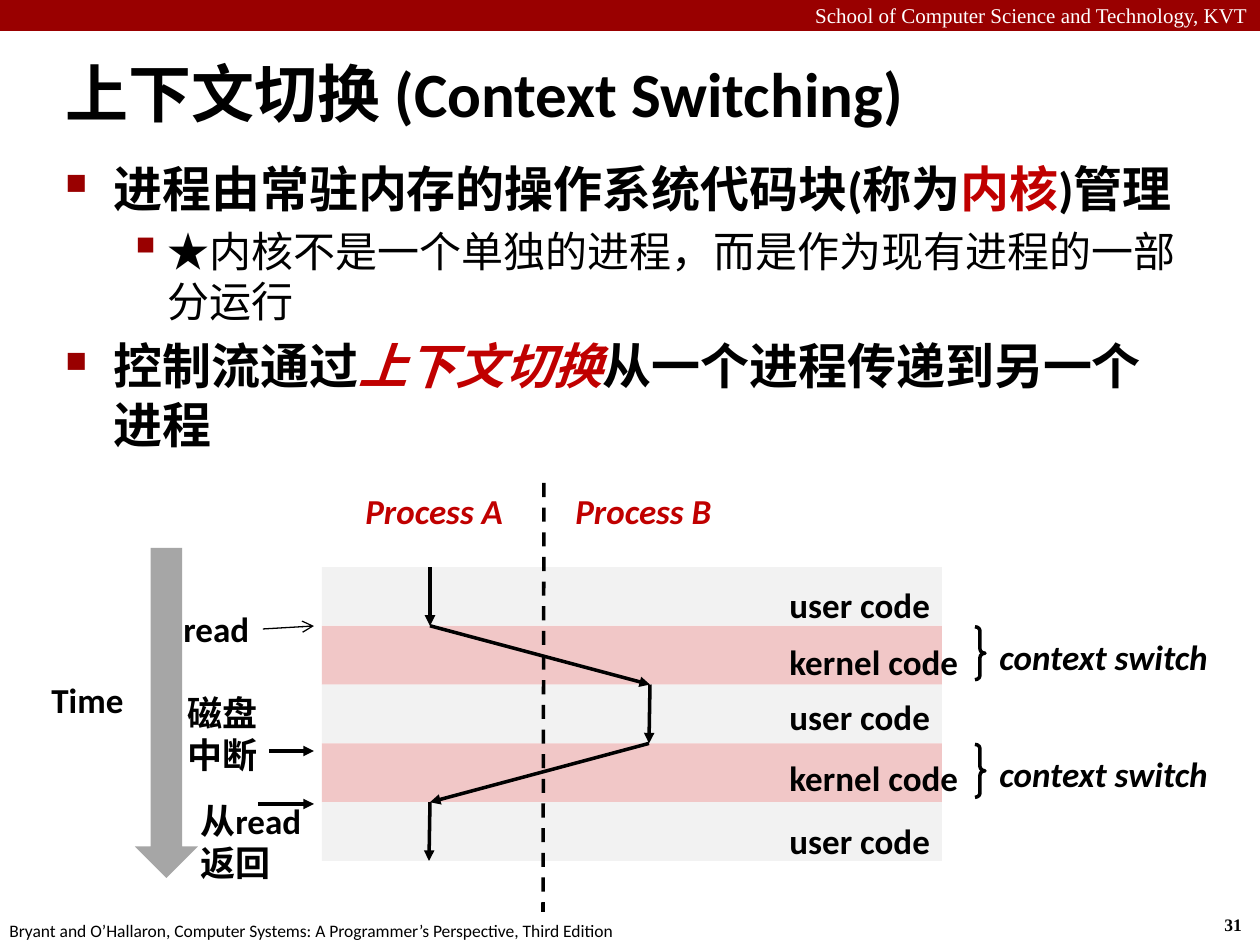
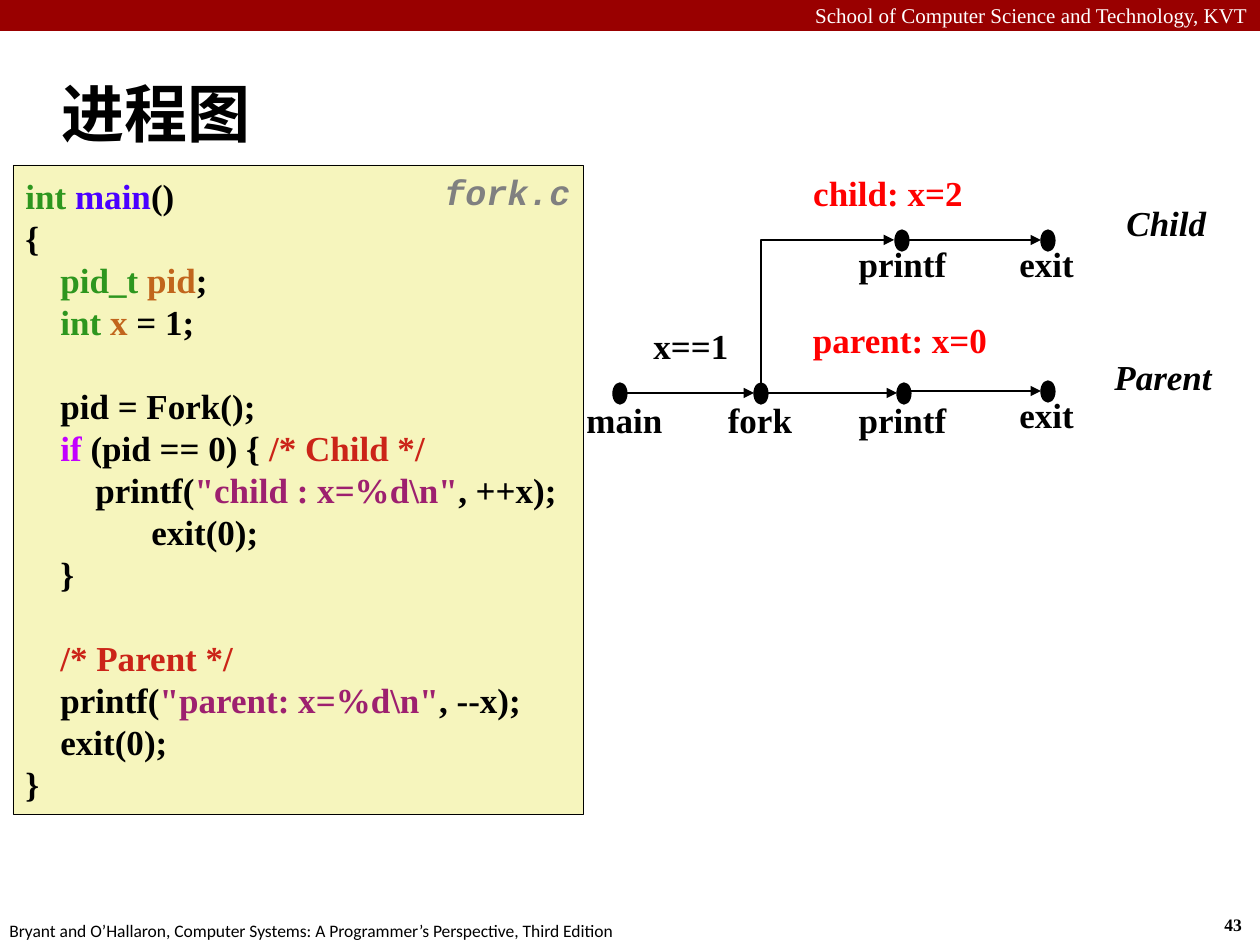
from dataclasses import dataclass
from itertools import pairwise
from lxml.etree import SubElement
from pptx import Presentation
from pptx.dml.color import RGBColor as Rgb
from pptx.enum.shapes import MSO_CONNECTOR as Link, MSO_SHAPE as Preset
from pptx.enum.text import MSO_ANCHOR as Anchor, PP_ALIGN as Align
from pptx.oxml.ns import qn
from pptx.util import Pt

SCALE = 914400 / 126
WIDTH, HEIGHT = 1260, 945


@dataclass(frozen=True)
class Theme:
    black: str = "000000"
    white: str = "FFFFFF"
    crimson: str = "990000"
    accent: str = "C00000"
    red: str = "FF0000"
    user: str = "F2F2F2"
    kernel: str = "F1C7C7"
    timeline: str = "A6A6A6"
    paper: str = "F6F5BD"
    filename: str = "808080"
    type_name: str = "2D961E"
    function: str = "4A00FF"
    variable: str = "C1651C"
    keyword: str = "C200FF"
    comment: str = "CB2418"
    string: str = "9D206F"
    sans: str = "Calibri"
    serif: str = "Times New Roman"
    mono: str = "Courier New"
    title: int = 36
    point: int = 28
    subpoint: int = 24
    label: int = 20
    header: int = 12
    footer: int = 10


T = Theme()


@dataclass
class Para:
    runs: list
    level: int = 0
    left: int = 0
    hang: int = 0
    before: float = 0
    bullet: tuple = ()


def emu(pixels):
    return round(pixels * SCALE)


def paint(shape, fill=None, line=None, weight=0.75):
    shape.shadow.inherit = False
    if fill:
        shape.fill.solid()
        shape.fill.fore_color.rgb = Rgb.from_string(fill)
    else:
        shape.fill.background()
    if line:
        shape.line.color.rgb = Rgb.from_string(line)
        shape.line.width = Pt(weight)
    else:
        shape.line.fill.background()


def block(slide, box, preset=Preset.RECTANGLE, **look):
    shape = slide.shapes.add_shape(preset, *map(emu, box))
    paint(shape, **look)
    return shape


def add_bullet(props, mark, percent):
    color = SubElement(props, qn("a:buClr"))
    SubElement(color, qn("a:srgbClr"), val=T.crimson)
    SubElement(props, qn("a:buSzPct"), val=str(percent * 1000))
    SubElement(props, qn("a:buChar"), char=mark)


def text(slide, box, content, holder=None, wrap=False, anchor=Anchor.TOP,
         align=Align.LEFT, spacing=None, **font):
    holder = holder or slide.shapes.add_textbox(*map(emu, box))
    frame = holder.text_frame
    frame.word_wrap = wrap
    frame.vertical_anchor = anchor
    paras = [Para([content])] if isinstance(content, str) else content
    for index, para in enumerate(paras):
        line = frame.add_paragraph() if index else frame.paragraphs[0]
        line.alignment = align
        line.level = para.level
        line.space_before = Pt(para.before)
        if spacing:
            line.line_spacing = spacing
        props = line._p.get_or_add_pPr()
        props.set("marL", str(emu(para.left)))
        props.set("indent", str(-emu(para.hang)))
        if para.bullet:
            add_bullet(props, *para.bullet)
        for part in para.runs:
            words, change = (part, {}) if isinstance(part, str) else part
            look = dict(size=T.label, face=T.sans, color=T.black, bold=True, italic=False)
            look |= font | change
            run = line.add_run()
            run.text = words
            run.font.size = Pt(look["size"])
            run.font.name = look["face"]
            run.font.bold = look["bold"]
            run.font.italic = look["italic"]
            run.font.color.rgb = Rgb.from_string(look["color"])


def stroke(slide, start, end, weight=2, tip="triangle", dash=False, kind=Link.STRAIGHT):
    link = slide.shapes.add_connector(kind, *map(emu, (*start, *end)))
    link.line.color.rgb = Rgb.from_string(T.black)
    link.line.width = Pt(weight)
    outline = link.line._get_or_add_ln()
    if dash:
        SubElement(outline, qn("a:prstDash"), val="dash")
    if tip:
        SubElement(outline, qn("a:tailEnd"), type=tip)
    SubElement(link._element.spPr, qn("a:effectLst"))
    return link


def up_then_right(slide, start, end, weight):
    mid_x, mid_y = (start[0] + end[0]) / 2, (start[1] + end[1]) / 2
    half_w, half_h = (start[1] - end[1]) / 2, (end[0] - start[0]) / 2
    link = stroke(slide, (mid_x + half_w, mid_y + half_h),
                  (mid_x - half_w, mid_y - half_h), weight, kind=Link.ELBOW)
    props = link._element.spPr
    props.find(qn("a:xfrm")).set("rot", "5400000")
    props.find(qn("a:prstGeom")).set("prst", "bentConnector2")


def frame_slide(deck, number, title, title_box):
    slide = deck.slides.add_slide(deck.slide_layouts[6])
    block(slide, (0, 0, WIDTH, 31), fill=T.crimson)
    text(slide, (0, -4, WIDTH, 38), "School of Computer Science and Technology, KVT",
         wrap=True, align=Align.RIGHT, size=T.header, face=T.serif, color=T.white, bold=False)
    text(slide, (1212, 908, 47, 34), str(number), size=T.footer, face=T.serif)
    text(slide, (-3, 914, 640, 34),
         "Bryant and O’Hallaron, Computer Systems: A Programmer’s Perspective, Third Edition",
         size=T.footer, bold=False)
    text(slide, title_box, [Para([title], left=16, hang=16)], wrap=True,
         anchor=Anchor.MIDDLE, size=T.title)
    return slide


def kernel_points(slide, box):
    point = dict(left=48, hang=48, before=5.6, bullet=("■", 60))
    accent = dict(color=T.accent)
    text(slide, box, [
        Para(["进程由常驻内存的操作系统代码块(称为", ("内核", accent), ")管理"], **point),
        Para([("★内核不是一个单独的进程，而是作为现有进程的一部分运行",
               dict(size=T.subpoint, bold=False))],
             level=1, left=102, hang=39, before=4.8, bullet=("▪", 110)),
        Para(["控制流通过", ("上下文切换", accent | dict(italic=True)),
              "从一个进程传递到另一个进程"], **point),
    ], wrap=True, size=T.point)


def switch_bands(slide, box):
    x, y, w, h = box
    step = h / 5
    for row in range(5):
        block(slide, (x, y + row * step, w, step), fill=T.kernel if row % 2 else T.user)
    for name, left in (("Process A", 31), ("Process B", 241)):
        text(slide, (x + left, y - 84, 164, 55), name, color=T.accent, italic=True)
    stroke(slide, (x + 222, y - 84), (x + 221, y + 345), tip=None, dash=True)
    for row, drop in enumerate((10, 8, 5, 7, 11)):
        name, width = ("kernel code", 197) if row % 2 else ("user code", 168)
        text(slide, (x + 455, y + row * step + drop, width, 55), name)
    for row in (1, 3):
        top = y + row * step
        brace = block(slide, (x + 653, top + 1, 10, 53), Preset.RIGHT_BRACE,
                      line=T.black, weight=2)
        brace.adjustments[0] = 0.42
        text(slide, (x + 665, top + 3, 234, 55), "context switch", italic=True)
    lanes = (108, 108, 328, 327, 108, 107)
    flow = [(x + lane, y + row * step) for row, lane in enumerate(lanes)]
    for start, end in pairwise(flow):
        stroke(slide, start, end)


def event_timeline(slide, box):
    x, y, w, h = box
    text(slide, (x, y + 124, 98, 55), "Time")
    block(slide, (x + 96, y, 63, h), Preset.DOWN_ARROW, fill=T.timeline)
    text(slide, (x + 132, y + 53, 92, 55), "read")
    text(slide, (x + 136, y + 137, 120, 97), "磁盘中断", wrap=True)
    text(slide, (x + 149, y + 245, 154, 97), "从read返回", wrap=True)
    stroke(slide, (x + 224, y + 81), (x + w, y + 78), 0.75, tip="arrow")
    for left, drop in ((230, 203), (219, 256)):
        stroke(slide, (x + left, y + drop), (x + w, y + drop))


def code_panel(slide, box):
    x, y, w, h = box

    def tint(words, color):
        return words, dict(color=color)

    indent, row = 35, 24
    lines = [
        Para([tint("int ", T.type_name), tint("main", T.function), "()"]),
        Para(["{"]),
        Para([tint("pid_t ", T.type_name), tint("pid", T.variable), ";"], left=indent),
        Para([tint("int ", T.type_name), tint("x", T.variable), " = 1;"], left=indent),
        Para(["pid = Fork();"], left=indent, before=row),
        Para([tint("if", T.keyword), " (pid == 0) { ", tint("/* Child */", T.comment)],
             left=indent),
        Para(["printf(", tint('"child : x=%d\\n"', T.string), ", ++x);"], left=2 * indent),
        Para(["exit(0);"], left=126),
        Para(["}"], left=indent),
        Para([tint("/* Parent */", T.comment)], left=indent, before=row),
        Para(["printf(", tint('"parent: x=%d\\n"', T.string), ", --x);"], left=indent),
        Para(["exit(0);"], left=indent),
        Para(["}"]),
    ]
    panel = block(slide, box, fill=T.paper, line=T.black, weight=0.25)
    text(slide, box, lines, holder=panel, wrap=True, anchor=Anchor.MIDDLE,
         spacing=Pt(row), face=T.serif)
    text(slide, (x + w - 151, y + 3, 152, 53), "fork.c", spacing=0.94,
         face=T.mono, color=T.filename, italic=True)


def process_graph(slide, box):
    x, y, w, h = box
    parent, child = y + 228, y + 75
    nodes = [(x + 57, parent), (x + 198, parent), (x + 341, parent), (x + 485, parent - 2),
             (x + 339, child), (x + 485, child)]
    for cx, cy in nodes:
        block(slide, (cx - 7, cy - 10, 14, 21), Preset.OVAL, fill=T.black, line=T.black)

    main, fork, parent_print, parent_exit, child_print, child_exit = nodes
    for source, target in ((main, fork), (fork, parent_print),
                           (parent_print, parent_exit), (child_print, child_exit)):
        stroke(slide, (source[0] + 7, target[1]), (target[0] - 7, target[1]), 1)
    up_then_right(slide, fork, (child_print[0] - 8, child), 1)

    for name, left, top, width in (("main", 0, 227, 123), ("fork", 146, 227, 102),
                                   ("printf", 267, 227, 145), ("exit", 411, 222, 145),
                                   ("printf", 267, 71, 145), ("exit", 411, 71, 145),
                                   ("x==1", 67, 153, 122)):
        text(slide, (x + left, y + top, width, 94), name, wrap=True,
             align=Align.CENTER, face=T.serif)
    for name, left, top in (("child: x=2", 184, 0), ("parent: x=0", 196, 147)):
        text(slide, (x + left, y + top, 282, 94), name, wrap=True,
             align=Align.CENTER, face=T.serif, color=T.red)
    for name, left, top, width in (("Child", 551, 30, 118), ("Parent", 539, 184, 145)):
        text(slide, (x + left, y + top, width, 94), name, face=T.serif, italic=True)


deck = Presentation()
deck.slide_width, deck.slide_height = emu(WIDTH), emu(HEIGHT)

switching = frame_slide(deck, 31, "上下文切换 (Context Switching)", (53, 53, 1018, 79))
kernel_points(switching, (53, 152, 1143, 352))
switch_bands(switching, (322, 567, 620, 294))
event_timeline(switching, (39, 548, 275, 330))

forking = frame_slide(deck, 43, "进程图", (49, 60, 1046, 105))
code_panel(forking, (13, 165, 570, 649))
process_graph(forking, (563, 165, 684, 396))

deck.save("out.pptx")
